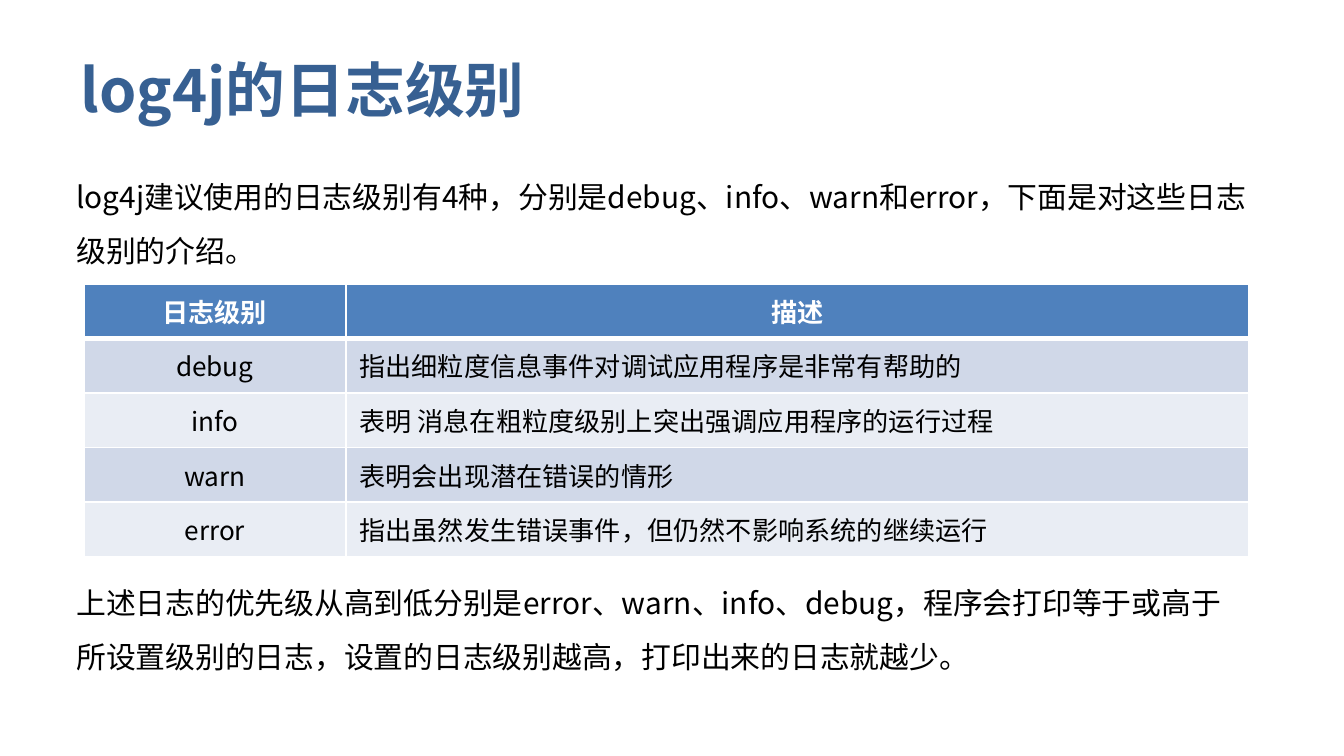
from lxml.etree import SubElement
from pptx import Presentation
from pptx.dml.color import RGBColor
from pptx.enum.text import MSO_ANCHOR as Anchor, MSO_AUTO_SIZE as AutoSize, PP_ALIGN as Align
from pptx.oxml import parse_xml
from pptx.oxml.ns import nsdecls, qn
from pptx.util import Inches, Pt

WIDTH = Inches(10)
HEIGHT = WIDTH * 9 // 16
FONT = "Noto Sans CJK SC"
TITLE_BLUE = RGBColor(0x37, 0x60, 0x92)
HEADER_BLUE = RGBColor(0x4F, 0x81, 0xBD)
BAND_DARK = RGBColor(0xD0, 0xD8, 0xE8)
BAND_LIGHT = RGBColor(0xE9, 0xED, 0xF4)
WHITE = RGBColor(0xFF, 0xFF, 0xFF)
BLACK = RGBColor(0, 0, 0)

LEVELS = [
    ("日志级别", "描述"),
    ("debug", "指出细粒度信息事件对调试应用程序是非常有帮助的"),
    ("info", "表明 消息在粗粒度级别上突出强调应用程序的运行过程"),
    ("warn", "表明会出现潜在错误的情形"),
    ("error", "指出虽然发生错误事件，但仍然不影响系统的继续运行"),
]
COLUMN_SHARES = (19.5, 67.2)
TABLE_SHARE = 36.1
INTRO = "log4j建议使用的日志级别有4种，分别是debug、info、warn和error，下面是对这些日志级别的介绍。"
SUMMARY = ("上述日志的优先级从高到低分别是error、warn、info、debug，程序会打印等于或"
           "高于所设置级别的日志，设置的日志级别越高，打印出来的日志就越少。")


def across(percent):
    return round(WIDTH * percent / 100)


def down(percent):
    return round(HEIGHT * percent / 100)


def add_span(para, text, size, color, bold=False):
    span = para.add_run()
    span.text = text
    font = span.font
    font.name, font.size, font.bold = FONT, Pt(size), bold
    font.color.rgb = color
    SubElement(span._r.get_or_add_rPr(), qn("a:ea")).set("typeface", FONT)


def add_text(page, left, top, width, height, text, size, color, bold=False,
             spacing=1.0, anchor=Anchor.TOP, fit=AutoSize.NONE):
    box = page.shapes.add_textbox(across(left), down(top), across(width), down(height))
    frame = box.text_frame
    frame.word_wrap = True
    frame.auto_size = fit
    frame.vertical_anchor = anchor
    para = frame.paragraphs[0]
    para.line_spacing = spacing
    add_span(para, text, size, color, bold)


def add_body(page, top, text):
    add_text(page, 4.7, top, 89.1, 16.18, text, 16, BLACK,
             spacing=1.5, fit=AutoSize.SHAPE_TO_FIT_TEXT)


def set_borders(cell, widths):
    properties = cell._tc.get_or_add_tcPr()
    for index, (side, width) in enumerate(widths.items()):
        line = parse_xml(
            f'<a:ln{side} {nsdecls("a")} w="{Pt(width)}"><a:solidFill>'
            f'<a:srgbClr val="{WHITE}"/></a:solidFill></a:ln{side}>')
        properties.insert(index, line)


def fill_cell(cell, text, row, column):
    header = row == 0
    band = BAND_DARK if row % 2 else BAND_LIGHT
    cell.fill.solid()
    cell.fill.fore_color.rgb = HEADER_BLUE if header else band
    cell.vertical_anchor = Anchor.MIDDLE
    set_borders(cell, {"L": 1, "R": 1, "T": 1, "B": 3 if header else 1})
    para = cell.text_frame.paragraphs[0]
    para.alignment = Align.CENTER if header or column == 0 else Align.LEFT
    add_span(para, text, 14, WHITE if header else BLACK, header)


def add_level_table(page, left, top):
    frame = page.shapes.add_table(
        len(LEVELS), len(COLUMN_SHARES), across(left), down(top),
        across(sum(COLUMN_SHARES)), down(TABLE_SHARE))
    table = frame.table
    for column, share in zip(table.columns, COLUMN_SHARES):
        column.width = across(share)
    for row, texts in enumerate(LEVELS):
        for column, text in enumerate(texts):
            fill_cell(table.cell(row, column), text, row, column)


def main():
    deck = Presentation()
    deck.slide_width, deck.slide_height = WIDTH, HEIGHT
    page = deck.slides.add_slide(deck.slide_layouts[6])
    add_text(page, 5, 5.33, 90, 12.8, "log4j的日志级别", 32, TITLE_BLUE,
             bold=True, anchor=Anchor.MIDDLE)
    add_body(page, 20.4, INTRO)
    add_level_table(page, 6.24, 37.53)
    add_body(page, 74.13, SUMMARY)
    deck.save("out.pptx")


if __name__ == "__main__":
    main()
